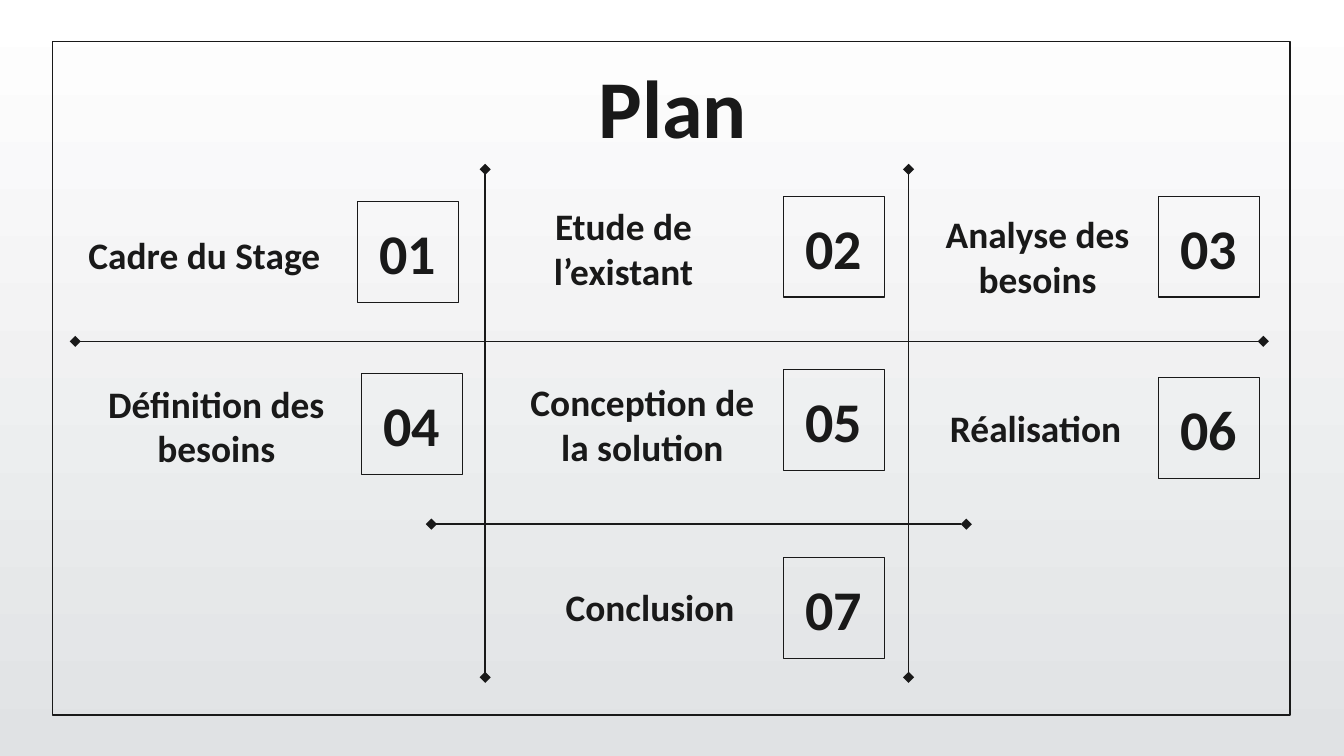
from lxml import etree
from pptx import Presentation
from pptx.dml.color import RGBColor
from pptx.enum.shapes import MSO_CONNECTOR, MSO_SHAPE
from pptx.enum.text import MSO_ANCHOR, PP_ALIGN
from pptx.oxml.ns import qn
from pptx.util import Inches, Pt

RECTANGLE = MSO_SHAPE.RECTANGLE
STRAIGHT = MSO_CONNECTOR.STRAIGHT
TOP, MIDDLE, BOTTOM = MSO_ANCHOR.TOP, MSO_ANCHOR.MIDDLE, MSO_ANCHOR.BOTTOM
LEFT, CENTER = PP_ALIGN.LEFT, PP_ALIGN.CENTER
PAGE_WIDTH = 10
PAGE_HEIGHT = PAGE_WIDTH * 9 / 16


def color(value):
    return RGBColor.from_string(value)


def write(shape, text, size, ink, font, align=CENTER, anchor=BOTTOM):
    """Fill a shape with bold text: \n starts a paragraph, \v breaks a line."""
    frame = shape.text_frame
    frame.word_wrap = True
    frame.vertical_anchor = anchor
    frame.margin_left = frame.margin_right = Inches(0.1)
    frame.margin_top = frame.margin_bottom = Inches(0.1)
    frame.text = text
    for para in frame.paragraphs:
        para.alignment = align
        for span in para.runs:
            span.font.name = font
            span.font.size = Pt(size)
            span.font.bold = True
            span.font.color.rgb = color(ink)


class PlanPage:
    ink = "191919"
    font = "Calibri"
    line_width = 0.75
    number_side = 0.75

    def __init__(self, page):
        self.page = page

    def background(self, top, bottom):
        fill = self.page.background.fill
        fill.gradient()
        fill.gradient_angle = 270
        for stop, value in zip(fill.gradient_stops, (top, bottom)):
            stop.color.rgb = color(value)

    def outline(self, left, top, width, height):
        box = self.page.shapes.add_shape(
            RECTANGLE, Inches(left), Inches(top), Inches(width), Inches(height))
        box.shadow.inherit = False
        box.fill.background()
        box.line.color.rgb = color(self.ink)
        box.line.width = Pt(self.line_width)
        return box

    def number(self, left, top, value):
        box = self.outline(left, top, self.number_side, self.number_side)
        write(box, f"{value:02d}", 30, self.ink, self.font, anchor=MIDDLE)

    def label(self, left, top, width, height, text, size=20, **layout):
        box = self.page.shapes.add_textbox(
            Inches(left), Inches(top), Inches(width), Inches(height))
        write(box, text, size, self.ink, self.font, **layout)

    def divider(self, x1, y1, x2, y2):
        line = self.page.shapes.add_connector(
            STRAIGHT, Inches(x1), Inches(y1), Inches(x2), Inches(y2))
        line.line.color.rgb = color(self.ink)
        line.line.width = Pt(self.line_width)
        stroke = line.line._get_or_add_ln()
        for end in ("a:headEnd", "a:tailEnd"):
            etree.SubElement(stroke, qn(end), type="diamond")
        etree.SubElement(line._element.spPr, qn("a:effectLst"))


# Each topic: number box (left, top), label box, text, alignment
TOPICS = [
    ((2.66, 1.5), (0.56, 1.64, 2.46, 0.52), "Cadre du Stage", LEFT),
    ((5.83, 1.46), (3.41, 1.53, 2.46, 0.75), "Etude de\nl’existant", CENTER),
    ((8.62, 1.46), (6.63, 1.59, 2.18, 0.75), "Analyse des besoins", CENTER),
    ((2.69, 2.78), (0.38, 2.85, 2.46, 0.75), "Définition des besoins", CENTER),
    ((5.83, 2.75), (3.55, 2.84, 2.46, 0.75), "Conception de\vla solution", CENTER),
    ((8.62, 2.81), (6.97, 2.7, 2.46, 0.75), "Réalisation", LEFT),
    ((5.83, 4.15), (4.11, 4.03, 2.46, 0.75), "Conclusion", LEFT),
]


def main():
    deck = Presentation()
    deck.slide_width = Inches(PAGE_WIDTH)
    deck.slide_height = Inches(PAGE_HEIGHT)
    plan = PlanPage(deck.slides.add_slide(deck.slide_layouts[6]))

    # Background, frame and title
    plan.background("FFFFFF", "E0E2E4")
    plan.outline(0.39, 0.31, 9.21, 5.01)
    plan.label(0.79, 0.32, 8.43, 0.63, "Plan", size=44, anchor=TOP)

    # Grid lines
    for x in (3.61, 6.76):
        plan.divider(x, 1.26, x, 5.04)
    for start, end, y in ((0.56, 9.4, 2.54), (3.21, 7.19, 3.9)):
        plan.divider(start, y, end, y)

    # Numbered topics
    for value, (corner, area, text, align) in enumerate(TOPICS, start=1):
        plan.number(*corner, value)
        plan.label(*area, text, align=align)

    deck.save("out.pptx")


if __name__ == "__main__":
    main()
